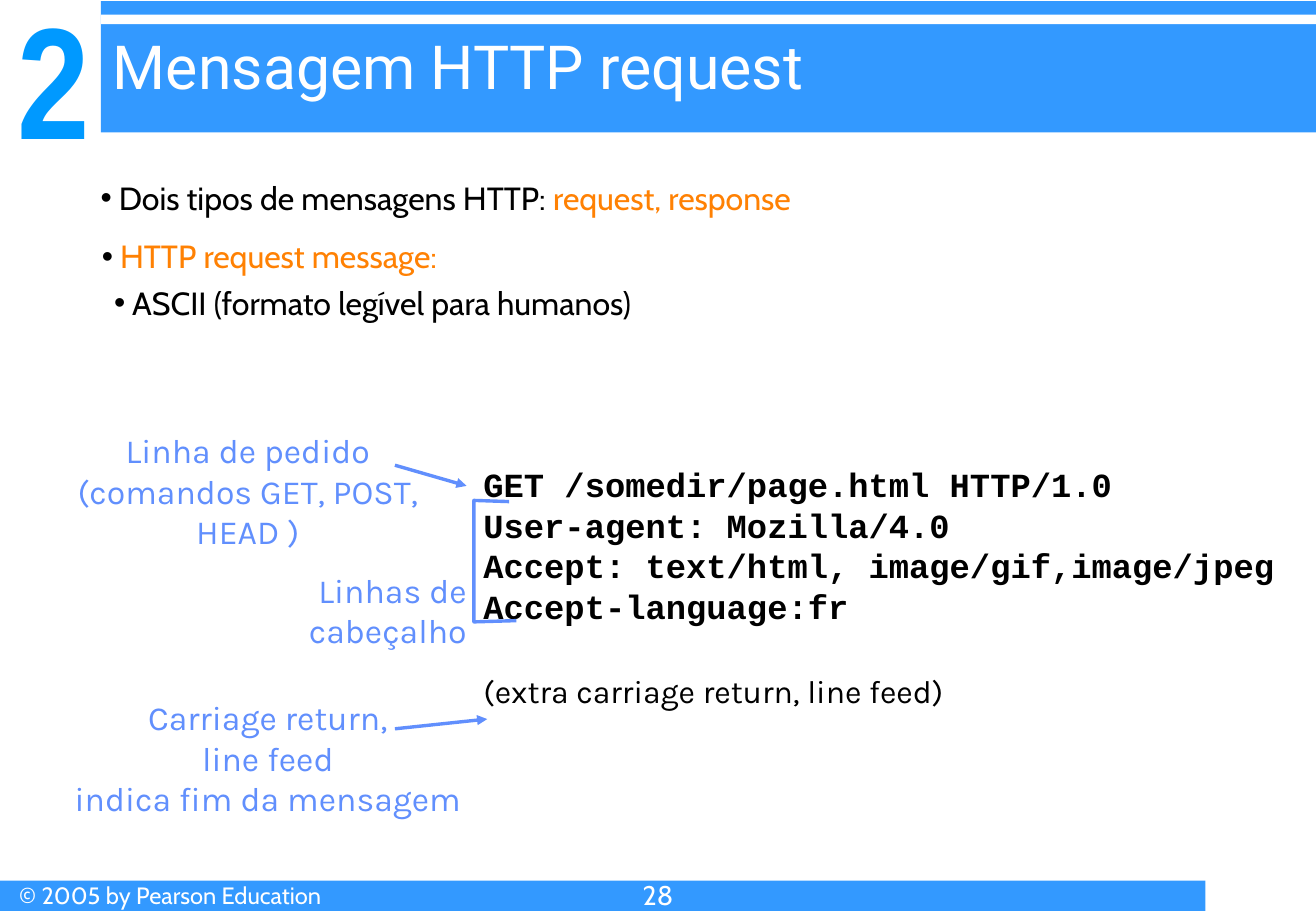
"""Build the slide on the HTTP request message."""
from lxml import etree
from pptx import Presentation
from pptx.dml.color import RGBColor
from pptx.enum import shapes, text
from pptx.oxml import ns
from pptx.util import Inches, Pt

BLACK = RGBColor(0x00, 0x00, 0x00)
WHITE = RGBColor(0xFF, 0xFF, 0xFF)
BAND_BLUE = RGBColor(0x33, 0x99, 0xFF)
CHAPTER_BLUE = RGBColor(0x00, 0x99, 0xFF)
NOTE_BLUE = RGBColor(0x61, 0x8F, 0xFD)
ORANGE = RGBColor(0xFF, 0x81, 0x03)
LEFT, CENTER, RIGHT = text.PP_ALIGN.LEFT, text.PP_ALIGN.CENTER, text.PP_ALIGN.RIGHT


def style(font, name, size, color, bold=False):
    """Apply the typeface, size, colour and weight to a font."""
    for attribute, value in {"name": name, "size": Pt(size), "bold": bold}.items():
        setattr(font, attribute, value)
    font.color.rgb = color


def add_text(place, lines, align, *look):
    """Add a text box with one paragraph per line and return its frame."""
    frame = slide.shapes.add_textbox(*map(Inches, place)).text_frame
    frame.word_wrap = True
    frame.text = "\n".join(lines)
    for paragraph in frame.paragraphs:
        paragraph.alignment = align
        for run in paragraph.runs:
            style(run.font, *look)
    return frame


prs = Presentation()
prs.slide_width, prs.slide_height = Inches(10.83), Inches(7.5)
slide = prs.slides.add_slide(prs.slide_layouts[5])

for place, color in [
    ((0.83, 0.01, 10, 1.08), BAND_BLUE),
    ((0.83, 0.12, 10, 0.08), WHITE),
    ((0, 7.25, 9.92, 0.25), BAND_BLUE),
]:
    band = slide.shapes.add_shape(shapes.MSO_SHAPE.RECTANGLE, *map(Inches, place))
    band.shadow.inherit = False
    band.fill.solid()
    band.fill.fore_color.rgb = color
    band.line.fill.background()

title = slide.shapes.title
title.left, title.top, title.width, title.height = map(Inches, (0.83, 0.19, 10, 0.83))
title.text_frame.text = "Mensagem HTTP request"
title.text_frame.vertical_anchor = text.MSO_ANCHOR.TOP
title.text_frame.auto_size = text.MSO_AUTO_SIZE.NONE
title.text_frame.paragraphs[0].alignment = LEFT
style(title.text_frame.paragraphs[0].runs[0].font, "Roboto", 36, WHITE)
slide.shapes._spTree.append(title._element)

chapter = add_text((0.03, -0.16, 0.83, 1.57), ["2"], CENTER,
                   "Arial Narrow", 94, CHAPTER_BLUE, True)
chapter.vertical_anchor = text.MSO_ANCHOR.BOTTOM
for side in ("left", "top", "right", "bottom"):
    setattr(chapter, f"margin_{side}", 0)

add_text((0.06, 7.2, 3.33, 0.34), ["© 2005 by Pearson Education"], LEFT, "Cabin", 14, WHITE)
add_text((0, 7.18, 10.83, 0.5), ["28"], CENTER, "Cabin", 16, WHITE)

topics = slide.shapes.add_textbox(*map(Inches, (0.73, 1.42, 8.49, 1.58))).text_frame
topics.word_wrap = True
for index, (indent, before, after, parts) in enumerate([
    (0.15, 0, 7.1, [("Dois tipos de mensagens HTTP: ", BLACK), ("request, response", ORANGE)]),
    (0.16, 4.8, 0, [("HTTP request message:", ORANGE)]),
    (0.26, 4.8, 0, [("ASCII (formato legível para humanos)", BLACK)]),
]):
    topic = topics.add_paragraph() if index else topics.paragraphs[0]
    topic.space_before, topic.space_after = Pt(before), Pt(after)
    properties = topic._p.get_or_add_pPr()
    properties.set("marL", str(Inches(indent)))
    properties.set("indent", str(-Inches(0.15)))
    bullet_color = etree.SubElement(properties, ns.qn("a:buClr"))
    etree.SubElement(bullet_color, ns.qn("a:srgbClr"), val=str(BLACK))
    etree.SubElement(properties, ns.qn("a:buFont"), typeface="Arial")
    etree.SubElement(properties, ns.qn("a:buChar"), char="•")
    for words, color in parts:
        run = topic.add_run()
        run.text = words
        style(run.font, "Cabin", 19, color)

request = add_text((3.88, 3.77, 6.88, 2.15), [
    "GET /somedir/page.html HTTP/1.0",
    "User-agent: Mozilla/4.0",
    "Accept: text/html, image/gif,image/jpeg",
    "Accept-language:fr",
    "(extra carriage return, line feed)",
], LEFT, "Courier New", 20, BLACK, True)
line_feed = request.paragraphs[-1]
line_feed.space_before = Pt(27)
style(line_feed.runs[0].font, "Karla", 19, BLACK)

for place, lines, align in [
    ((0.43, 3.49, 3.22, 1.1), ["Linha de pedido", "(comandos GET, POST,", "HEAD )"], CENTER),
    ((2.42, 4.64, 1.52, 0.77), ["Linhas de", "cabeçalho"], RIGHT),
    ((0.5, 5.69, 3.41, 1.1),
     ["Carriage return,", "line feed", "indica fim da mensagem"], CENTER),
]:
    add_text(place, lines, align, "Karla", 20, NOTE_BLUE)

outline = slide.shapes.build_freeform(Inches(4.19), Inches(4.13))
outline.add_line_segments(
    [(Inches(x), Inches(y)) for x, y in [(3.9, 4.12), (3.9, 5.12), (4.25, 5.11)]], close=False)
bracket = outline.convert_to_shape()
bracket.shadow.inherit = False
bracket.fill.background()
bracket.line.color.rgb = NOTE_BLUE
bracket.line.width = Pt(2)

for ends in [(3.25, 3.83, 3.84, 4), (3.25, 6, 4.01, 5.92)]:
    arrow = slide.shapes.add_connector(shapes.MSO_CONNECTOR.STRAIGHT, *map(Inches, ends))
    arrow.line.color.rgb = NOTE_BLUE
    arrow.line.width = Pt(2)
    etree.SubElement(arrow.line._get_or_add_ln(), ns.qn("a:tailEnd"), type="triangle")
    etree.SubElement(arrow._element.spPr, ns.qn("a:effectLst"))

prs.save("out.pptx")
